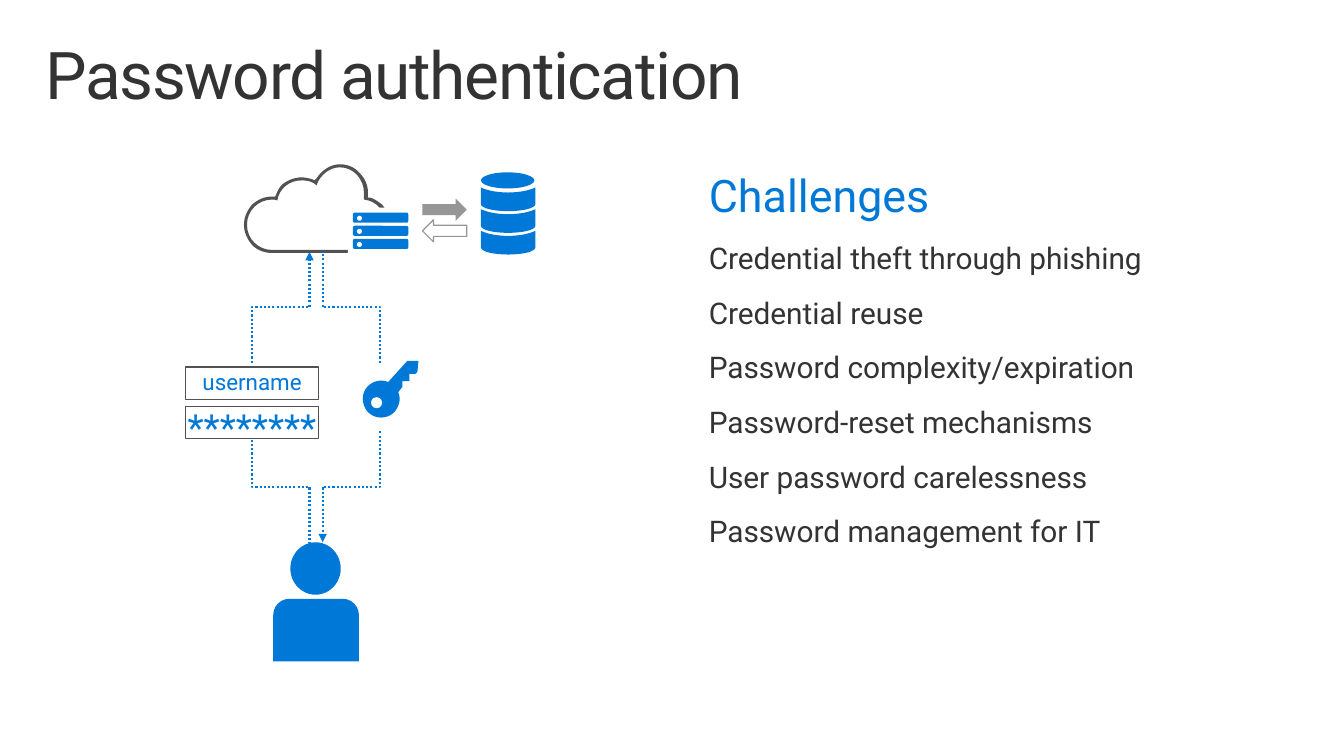
from lxml import etree
from pptx import Presentation
from pptx.dml.color import RGBColor
from pptx.enum.dml import MSO_LINE
from pptx.enum.shapes import MSO_CONNECTOR, MSO_SHAPE as Preset
from pptx.enum.text import MSO_ANCHOR, PP_ALIGN
from pptx.oxml.ns import qn
from pptx.util import Inches, Pt

BLUE = RGBColor(0x00, 0x78, 0xD7)
TEXT_GRAY = RGBColor(0x33, 0x33, 0x33)
DARK_GRAY = RGBColor(0x52, 0x52, 0x52)
ARROW_GRAY = RGBColor(0x96, 0x96, 0x96)
WHITE = RGBColor(0xFF, 0xFF, 0xFF)
FONT = "Roboto"

CHALLENGES = [
    "Credential theft through phishing",
    "Credential reuse",
    "Password complexity/expiration",
    "Password-reset mechanisms",
    "User password carelessness",
    "Password management for IT",
]

# Outlines in inches: a pair is a corner, six numbers are a Bézier curve.
CLOUD_OUTER = [
    (2.7, 2.51), (2.62, 2.51, 2.55, 2.48, 2.5, 2.43),
    (2.45, 2.37, 2.42, 2.3, 2.42, 2.23), (2.42, 2.16, 2.45, 2.09, 2.5, 2.03),
    (2.56, 1.98, 2.62, 1.95, 2.7, 1.95), (2.73, 1.95), (2.74, 1.93),
    (2.75, 1.9, 2.77, 1.86, 2.8, 1.83), (2.85, 1.79, 2.92, 1.76, 2.99, 1.76),
    (3.03, 1.76, 3.07, 1.77, 3.1, 1.78), (3.12, 1.79), (3.14, 1.77),
    (3.19, 1.69, 3.28, 1.63, 3.37, 1.63), (3.45, 1.63, 3.52, 1.66, 3.57, 1.72),
    (3.62, 1.77, 3.65, 1.84, 3.65, 1.91), (3.65, 1.96), (3.67, 1.96),
    (3.71, 1.97, 3.75, 2, 3.79, 2.03), (3.84, 2.09, 3.86, 2.16, 3.86, 2.23),
    (3.86, 2.3, 3.84, 2.37, 3.79, 2.43), (3.73, 2.48, 3.66, 2.51, 3.59, 2.51),
]
CLOUD_INNER = [
    (2.7, 1.98), (2.56, 1.98, 2.45, 2.09, 2.45, 2.23),
    (2.45, 2.37, 2.56, 2.48, 2.7, 2.48), (3.59, 2.48),
    (3.72, 2.48, 3.83, 2.37, 3.83, 2.23), (3.83, 2.1, 3.73, 1.99, 3.61, 1.98),
    (3.61, 1.96, 3.61, 1.94, 3.61, 1.91), (3.61, 1.78, 3.51, 1.66, 3.37, 1.66),
    (3.27, 1.66, 3.17, 1.74, 3.14, 1.84), (3.1, 1.8, 3.05, 1.79, 2.99, 1.79),
    (2.87, 1.79, 2.77, 1.87, 2.75, 1.99), (2.73, 1.98, 2.72, 1.98, 2.7, 1.98),
]
KEY = [
    (4.04, 3.58), (3.85, 3.79), (3.78, 3.76, 3.7, 3.78, 3.65, 3.83),
    (3.58, 3.9, 3.58, 4.01, 3.65, 4.09), (3.72, 4.16, 3.84, 4.16, 3.91, 4.09),
    (3.96, 4.03, 3.98, 3.96, 3.95, 3.89), (3.99, 3.84), (3.99, 3.78),
    (4.06, 3.78), (4.06, 3.71), (4.12, 3.71), (4.14, 3.69), (4.15, 3.58),
]


def flatten(outline, steps=8):
    """Turn corners and Bézier curves into a list of points in EMU."""
    points = [outline[0]]
    for segment in outline[1:]:
        if len(segment) == 2:
            points.append(segment)
            continue
        x0, y0 = points[-1]
        x1, y1, x2, y2, x3, y3 = segment
        for step in range(1, steps + 1):
            t = step / steps
            a, b, c, d = (1 - t) ** 3, 3 * t * (1 - t) ** 2, 3 * t * t * (1 - t), t ** 3
            points.append((a * x0 + b * x1 + c * x2 + d * x3,
                           a * y0 + b * y1 + c * y2 + d * y3))
    return [(Inches(x), Inches(y)) for x, y in points]


def paint(shape, fill, line=None):
    shape.shadow.inherit = False
    if fill is None:
        shape.fill.background()
    else:
        shape.fill.solid()
        shape.fill.fore_color.rgb = fill
    if line is None:
        shape.line.fill.background()
    else:
        shape.line.color.rgb = line
        shape.line.width = Pt(0.85)


def add_outline(slide, fill, *outlines):
    """Add one freeform; outlines after the first cut holes."""
    first, *holes = map(flatten, outlines)
    builder = slide.shapes.build_freeform(*first[0])
    builder.add_line_segments(first[1:])
    for hole in holes:
        builder.move_to(*hole[0])
        builder.add_line_segments(hole[1:])
    paint(builder.convert_to_shape(), fill)


def add_preset(slide, preset, left, top, width, height, fill, line=None):
    shape = slide.shapes.add_shape(
        preset, Inches(left), Inches(top), Inches(width), Inches(height))
    paint(shape, fill, line)
    return shape


def set_insets(frame, horizontal, top, bottom):
    frame.margin_left = frame.margin_right = Inches(horizontal)
    frame.margin_top, frame.margin_bottom = Inches(top), Inches(bottom)


def write(paragraph, text, size, color):
    paragraph.text = text
    paragraph.line_spacing = 0.9
    font = paragraph.font
    font.name, font.size, font.color.rgb = FONT, Pt(size), color


def add_text_box(slide, left, top, width, height, horizontal, vertical):
    frame = slide.shapes.add_textbox(
        Inches(left), Inches(top), Inches(width), Inches(height)).text_frame
    frame.word_wrap = True
    set_insets(frame, horizontal, vertical, vertical)
    return frame


def add_field(slide, top, text, size, inset_top=0):
    field = add_preset(slide, Preset.RECTANGLE, 1.84, top, 1.32, 0.32, WHITE, DARK_GRAY)
    frame = field.text_frame
    frame.word_wrap = False
    frame.vertical_anchor = MSO_ANCHOR.MIDDLE
    set_insets(frame, 0, inset_top, 0)
    paragraph = frame.paragraphs[0]
    paragraph.alignment = PP_ALIGN.CENTER
    write(paragraph, text, size, BLUE)


def add_vertical_elbow(slide, x1, y1, x2, y2, arrow):
    """Add a dotted elbow that leaves and arrives vertically, as a turned preset."""
    middle_x, middle_y = (x1 + x2) / 2, (y1 + y2) / 2
    half_width = abs(y2 - y1) / 2 * (-1 if x2 > x1 else 1)
    half_height = abs(x2 - x1) / 2 * (-1 if y2 < y1 else 1)
    connector = slide.shapes.add_connector(
        MSO_CONNECTOR.ELBOW,
        Inches(middle_x - half_width), Inches(middle_y - half_height),
        Inches(middle_x + half_width), Inches(middle_y + half_height))
    connector.line.color.rgb = BLUE
    connector.line.width = Pt(1.5)
    connector.line.dash_style = MSO_LINE.ROUND_DOT
    properties = connector._element.spPr
    degrees = 90 if (x2 - x1) * (y2 - y1) < 0 else 270
    properties.find(qn("a:xfrm")).set("rot", str(degrees * 60000))
    if arrow:
        etree.SubElement(properties.find(qn("a:ln")), qn("a:tailEnd"), type="triangle")
    etree.SubElement(properties, qn("a:effectLst"))


def add_server(slide):
    add_preset(slide, Preset.RECTANGLE, 3.45, 2.06, 0.65, 0.9, WHITE)
    for row in range(3):
        top = 2.11 + 0.13 * row
        unit = add_preset(slide, Preset.ROUNDED_RECTANGLE, 3.5, top, 0.55, 0.1, BLUE)
        unit.adjustments[0] = 0.18
        add_preset(slide, Preset.OVAL, 3.54, top + 0.03, 0.05, 0.05, WHITE)


def add_database(slide):
    left, right, middle = 4.77, 5.31, 5.04
    for row in range(3):
        top = 1.86 + 0.215 * row
        bottom = top + 0.165
        add_outline(slide, BLUE, [
            (left, top), (4.83, top + 0.03, 4.93, top + 0.05, middle, top + 0.05),
            (5.15, top + 0.05, 5.25, top + 0.03, right, top), (right, bottom),
            (right, bottom + 0.04, 5.19, bottom + 0.07, middle, bottom + 0.07),
            (4.89, bottom + 0.07, left, bottom + 0.04, left, bottom)])
    add_preset(slide, Preset.OVAL, left, 1.71, 0.53, 0.16, BLUE)


def add_user(slide):
    add_preset(slide, Preset.OVAL, 2.88, 5.38, 0.5, 0.52, BLUE)
    body = add_preset(slide, Preset.ROUND_2_SAME_RECTANGLE, 2.71, 5.94, 0.85, 0.62, BLUE)
    body.adjustments[0] = 0.26


def main():
    presentation = Presentation()
    presentation.slide_width, presentation.slide_height = Inches(13.33), Inches(7.5)
    slide = presentation.slides.add_slide(presentation.slide_layouts[6])

    title = add_text_box(slide, 0.29, 0.32, 12.75, 0.98, 0.16, 0.1).paragraphs[0]
    write(title, "Password authentication", 47, TEXT_GRAY)
    title.runs[0].font._element.set("spc", "-100")

    add_outline(slide, DARK_GRAY, CLOUD_OUTER, CLOUD_INNER)
    add_server(slide)
    add_user(slide)
    for outer_x, inner_x, arrow_up in ((2.5, 3.07, True), (3.77, 3.2, False)):
        add_vertical_elbow(slide, outer_x, 3.6, inner_x, 2.5, arrow_up)
        add_vertical_elbow(slide, outer_x, 4.28, inner_x, 5.38, not arrow_up)
    add_field(slide, 4.03, "********", 26.7, inset_top=0.13)
    add_field(slide, 3.64, "username", 16)
    add_outline(slide, BLUE, KEY)
    add_preset(slide, Preset.OVAL, 3.68, 3.94, 0.11, 0.11, WHITE)
    add_preset(slide, Preset.RIGHT_ARROW, 4.19, 1.97, 0.44, 0.22, ARROW_GRAY)
    add_preset(slide, Preset.LEFT_ARROW, 4.19, 2.18, 0.44, 0.22, None, ARROW_GRAY)
    add_database(slide)

    challenges = add_text_box(slide, 6.83, 1.56, 5.29, 5, 0.2, 0.16)
    write(challenges.paragraphs[0], "Challenges", 32, BLUE)
    for challenge in CHALLENGES:
        paragraph = challenges.add_paragraph()
        paragraph.space_before = Pt(16)
        write(paragraph, challenge, 21.3, TEXT_GRAY)

    presentation.save("out.pptx")


if __name__ == "__main__":
    main()
